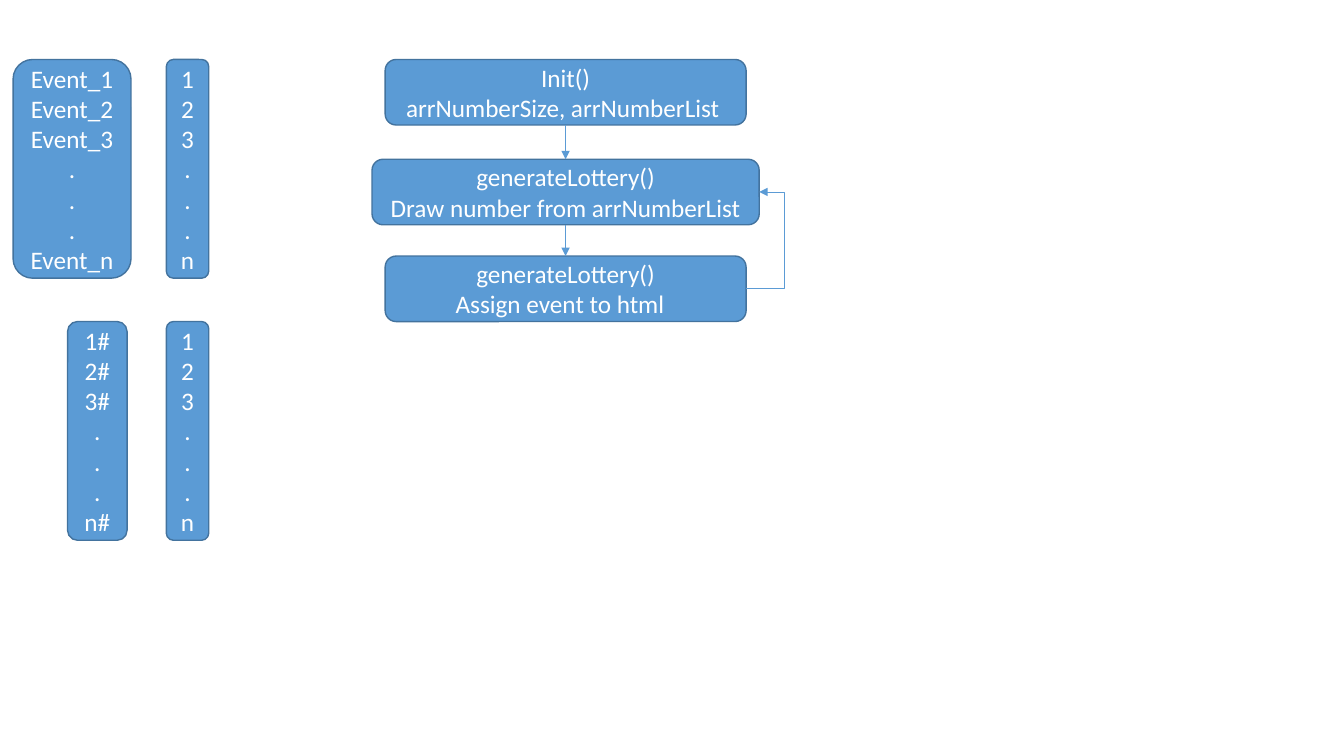
from dataclasses import dataclass

from lxml.etree import SubElement
from pptx import Presentation
from pptx.dml.color import RGBColor
from pptx.enum.shapes import MSO_CONNECTOR, MSO_SHAPE
from pptx.enum.text import MSO_ANCHOR, PP_ALIGN
from pptx.oxml.ns import qn
from pptx.util import Emu, Pt


@dataclass(frozen=True)
class Theme:
    box: RGBColor = RGBColor(0x5B, 0x9B, 0xD5)
    outline: RGBColor = RGBColor(0x43, 0x73, 0x9E)
    arrow: RGBColor = RGBColor(0x5B, 0x9B, 0xD5)
    text: RGBColor = RGBColor(0xFF, 0xFF, 0xFF)
    font: str = "Calibri"
    text_size: Pt = Pt(18)
    outline_width: Pt = Pt(1)
    arrow_width: Pt = Pt(0.5)


THEME = Theme()
TOP, RIGHT, BOTTOM = 0, 3, 2
LIST_HEIGHT = 217
STEP_CENTRE, STEP_HEIGHT = 561, 65
LOOP_BEND = 778


def px(length):
    return Emu(length * 9144)


def add_box(slide, left, top, width, height, lines):
    box = slide.shapes.add_shape(
        MSO_SHAPE.ROUNDED_RECTANGLE, px(left), px(top), px(width), px(height))
    box.shadow.inherit = False
    box.fill.solid()
    box.fill.fore_color.rgb = THEME.box
    box.line.color.rgb = THEME.outline
    box.line.width = THEME.outline_width
    frame = box.text_frame
    frame.word_wrap = False
    frame.vertical_anchor = MSO_ANCHOR.MIDDLE
    frame.text = "\n".join(lines)
    for paragraph in frame.paragraphs:
        paragraph.alignment = PP_ALIGN.CENTER
        paragraph.font.name = THEME.font
        paragraph.font.size = THEME.text_size
        paragraph.font.color.rgb = THEME.text
    return box


def add_list(slide, left, top, width, pattern):
    lines = [pattern.format(i) for i in (1, 2, 3)] + ["."] * 3 + [pattern.format("n")]
    return add_box(slide, left, top, width, LIST_HEIGHT, lines)


def add_step(slide, top, width, lines):
    return add_box(slide, STEP_CENTRE - width // 2, top, width, STEP_HEIGHT, lines)


def add_arrow(slide, kind, source, source_site, target, target_site):
    arrow = slide.shapes.add_connector(kind, 0, 0, 0, 0)
    arrow.begin_connect(source, source_site)
    arrow.end_connect(target, target_site)
    arrow.line.color.rgb = THEME.arrow
    arrow.line.width = THEME.arrow_width
    SubElement(arrow.line._get_or_add_ln(), qn("a:tailEnd"), type="triangle")
    SubElement(arrow._element.spPr, qn("a:effectLst"))
    return arrow


def bend_at(arrow, x):
    share = (px(x) - arrow.begin_x) / (arrow.end_x - arrow.begin_x)
    guides = arrow._element.spPr.find(qn("a:prstGeom")).get_or_add_avLst()
    SubElement(guides, qn("a:gd"), name="adj1", fmla=f"val {round(share * 100000)}")


def main():
    deck = Presentation()
    deck.slide_width, deck.slide_height = px(1333), px(750)
    slide = deck.slides.add_slide(deck.slide_layouts[6])

    for left, top, width, pattern in (
        (165, 59, 42, "{}"),
        (13, 59, 117, "Event_{}"),
        (67, 319, 59, "{}#"),
        (165, 319, 42, "{}"),
    ):
        add_list(slide, left, top, width, pattern)

    init = add_step(slide, 59, 358, ["Init()", "arrNumberSize, arrNumberList "])
    draw = add_step(
        slide, 158, 384, ["generateLottery()", "Draw number from arrNumberList"])
    assign = add_step(
        slide, 254, 358, ["generateLottery()", "Assign event to html  "])

    loop = add_arrow(slide, MSO_CONNECTOR.ELBOW, assign, RIGHT, draw, RIGHT)
    bend_at(loop, LOOP_BEND)
    for source, target in ((init, draw), (draw, assign)):
        add_arrow(slide, MSO_CONNECTOR.STRAIGHT, source, BOTTOM, target, TOP)

    deck.save("out.pptx")


if __name__ == "__main__":
    main()
